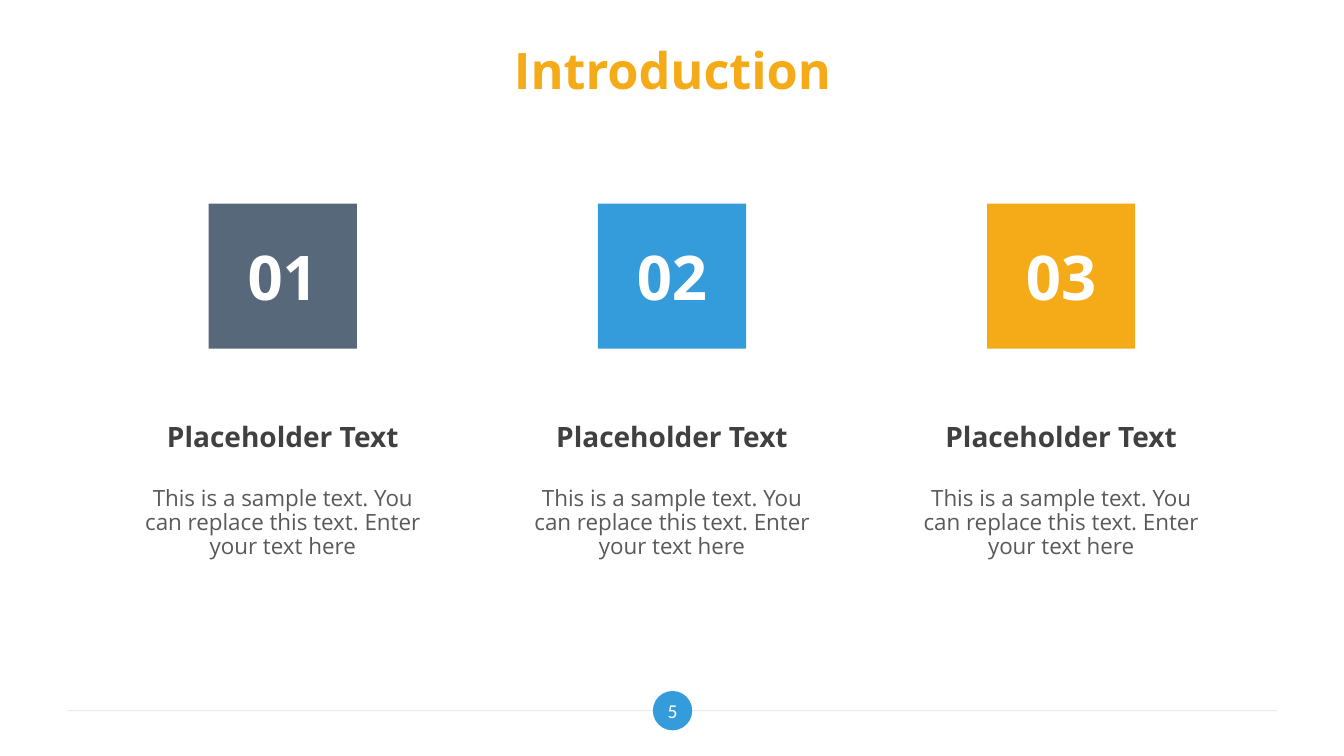
from lxml.etree import SubElement
from pptx import Presentation
from pptx.dml.color import RGBColor
from pptx.enum.shapes import MSO_CONNECTOR, MSO_SHAPE
from pptx.enum.text import MSO_ANCHOR, PP_ALIGN
from pptx.oxml.ns import qn
from pptx.util import Inches, Pt

COLORS = {
    "slate": "57687B", "blue": "359CDB", "amber": "F4AB17", "white": "FFFFFF",
    "heading": "404040", "body": "595959", "rule": "D9D9D9",
}
STEPS = [("01", "slate"), ("02", "blue"), ("03", "amber")]
HEADING = "Placeholder Text"
BODY = "This is a sample text. You can replace this text. Enter your text here"


def rgb(name):
    return RGBColor.from_string(COLORS[name])


def write(shape, text, size, color, bold=False, font="Open Sans",
          anchor=MSO_ANCHOR.TOP, spacing=None):
    frame = shape.text_frame
    frame.word_wrap = True
    frame.vertical_anchor = anchor
    frame.text = text
    paragraph = frame.paragraphs[0]
    paragraph.alignment = PP_ALIGN.CENTER
    paragraph.line_spacing = spacing
    paragraph.font.name = font
    paragraph.font.size = Pt(size)
    paragraph.font.bold = bold
    paragraph.font.color.rgb = rgb(color)


def add_filled(slide, kind, left, top, width, height, color):
    shape = slide.shapes.add_shape(
        kind, Inches(left), Inches(top), Inches(width), Inches(height))
    shape.shadow.inherit = False
    shape.fill.solid()
    shape.fill.fore_color.rgb = rgb(color)
    shape.line.fill.background()
    return shape


def add_text(slide, left, top, width, height, text, size, color, **style):
    box = slide.shapes.add_textbox(
        Inches(left), Inches(top), Inches(width), Inches(height))
    write(box, text, size, color, **style)


def add_title(slide, left, top, width, height):
    title = slide.shapes.title
    title.left, title.top = Inches(left), Inches(top)
    title.width, title.height = Inches(width), Inches(height)
    write(title, "Introduction", 36, "amber", bold=True, anchor=MSO_ANCHOR.MIDDLE)


def add_step(slide, left, top, width, number, color):
    """Numbered tile centred over a heading and its description."""
    tile_width = 1.47
    tile = add_filled(slide, MSO_SHAPE.RECTANGLE, left + (width - tile_width) / 2,
                      top, tile_width, 1.44, color)
    write(tile, number, 44, "white", bold=True, anchor=MSO_ANCHOR.MIDDLE)
    add_text(slide, left, top + 2.13, width, 0.44, HEADING, 20, "heading",
             bold=True, spacing=0.9)
    add_text(slide, left, top + 2.76, width, 0.91, BODY, 16, "body", spacing=0.9)


def add_footer(slide, left, middle, width):
    """Pale rule with the page number in a disc at its centre."""
    rule = slide.shapes.add_connector(
        MSO_CONNECTOR.STRAIGHT, Inches(left), Inches(middle),
        Inches(left + width), Inches(middle))
    rule.line.width = Pt(0.75)
    rule.line.color.rgb = rgb("rule")
    properties = rule._element.spPr
    color = next(properties.iter(qn("a:srgbClr")))
    SubElement(color, qn("a:alpha"), val="50000")
    SubElement(properties, qn("a:effectLst"))

    disc_size = 0.39
    center = left + width / 2
    disc = add_filled(slide, MSO_SHAPE.OVAL, center - disc_size / 2,
                      middle - disc_size / 2, disc_size, disc_size, "blue")
    frame = disc.text_frame
    frame.margin_left = frame.margin_right = 0
    frame.margin_top = frame.margin_bottom = 0
    write(disc, "5", 14, "white", font="Calibri", anchor=MSO_ANCHOR.MIDDLE)


def main():
    deck = Presentation()
    deck.slide_width, deck.slide_height = Inches(13.33), Inches(7.5)
    slide = deck.slides.add_slide(deck.slide_layouts[5])
    add_title(slide, 0.67, 0.3, 12, 0.78)
    for column, (number, color) in enumerate(STEPS):
        add_step(slide, 1.31 + column * 3.86, 2.02, 2.99, number, color)
    add_footer(slide, 0.67, 7.05, 12)
    deck.save("out.pptx")


if __name__ == "__main__":
    main()
